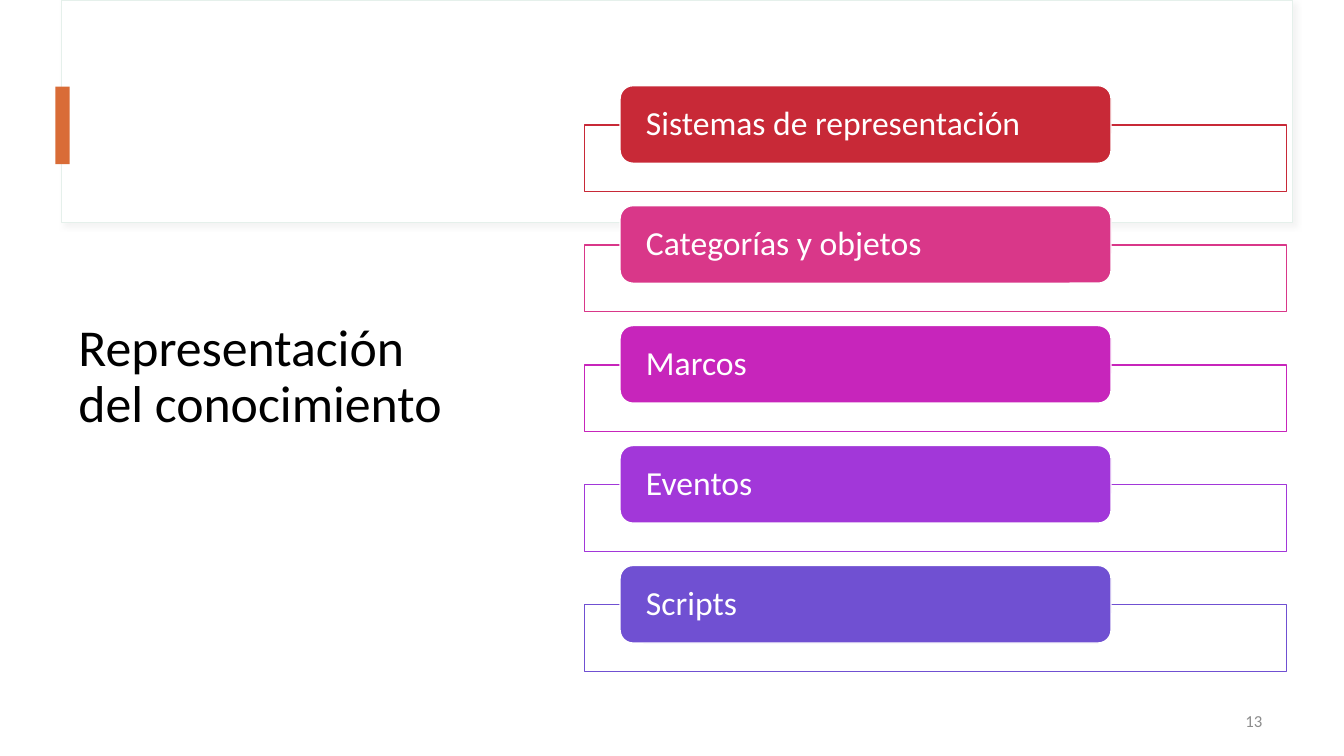
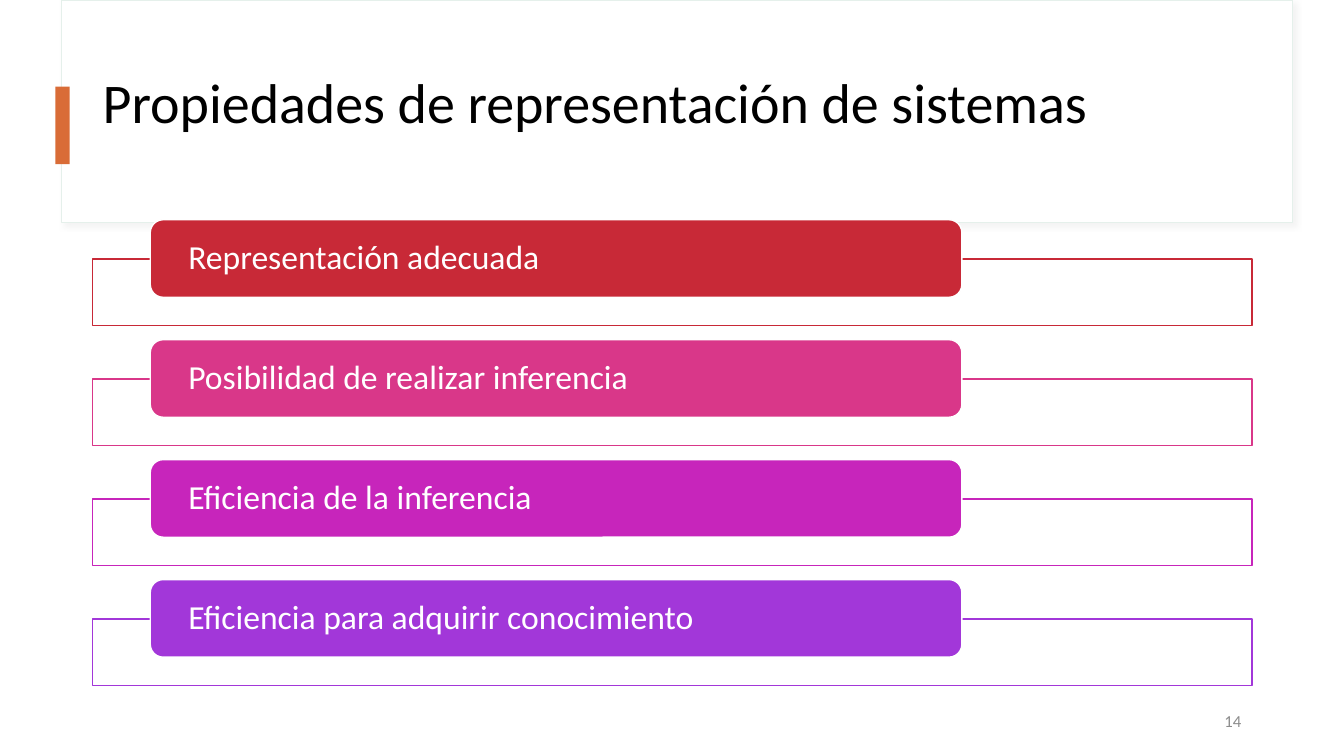
from lxml.etree import SubElement
from pptx import Presentation
from pptx.dml.color import RGBColor
from pptx.enum.shapes import MSO_SHAPE
from pptx.enum.text import MSO_ANCHOR, PP_ALIGN
from pptx.oxml.ns import qn
from pptx.util import Inches, Pt

THEME = {
    "font": "Calibri",
    "white": "FFFFFF",
    "title": "000000",
    "number": "8C8C8C",
    "accent": "D96C37",
    "band_line": "E5F0EB",
    "band_shadow": "D9D9D9",
    "topics": ["C82937", "D93789", "C725BB", "A237D9", "7050D2"],
    "topic_size": 24,
    "number_size": 12,
}
ROW_STEP = 1.19
FRAME_DROP = 0.39
FRAME_HEIGHT = 0.66
LABEL_HEIGHT = 0.77

SLIDES = [
    {
        "title": "Representación del conocimiento",
        "title_box": (0.68, 1.27, 3.94, 4.95),
        "title_size": 37,
        "title_anchor": MSO_ANCHOR.MIDDLE,
        "number": "13",
        "number_box": (9.62, 6.95, 3, 0.4),
        "top": 0.85,
        "frame": (5.8, 6.96),
        "label": (6.15, 4.87),
        "inset": 0.22,
        "topics": ["Sistemas de representación", "Categorías y objetos",
                   "Marcos", "Eventos", "Scripts"],
    },
    {
        "title": "Propiedades de representación de sistemas",
        "title_box": (0.92, 0.28, 11.49, 1.11),
        "title_size": 40,
        "title_anchor": MSO_ANCHOR.BOTTOM,
        "number": "14",
        "number_box": (9.7, 6.95, 2.71, 0.4),
        "top": 2.18,
        "frame": (0.92, 11.5),
        "label": (1.49, 8.05),
        "inset": 0.34,
        "topics": ["Representación adecuada", "Posibilidad de realizar inferencia",
                   "Eficiencia de la inferencia", "Eficiencia para adquirir conocimiento"],
    },
]


def add_box(slide, kind, box, fill, line=None, line_width=1):
    shape = slide.shapes.add_shape(kind, *map(Inches, box))
    shape.shadow.inherit = False
    shape.fill.solid()
    shape.fill.fore_color.rgb = RGBColor.from_string(fill)
    if line:
        shape.line.color.rgb = RGBColor.from_string(line)
        shape.line.width = Pt(line_width)
    else:
        shape.line.fill.background()
    return shape


def write_text(shape, text, size, color, anchor, align=PP_ALIGN.LEFT, spacing=0.9):
    frame = shape.text_frame
    frame.word_wrap = True
    frame.vertical_anchor = anchor
    paragraph = frame.paragraphs[0]
    paragraph.alignment = align
    paragraph.line_spacing = spacing
    run = paragraph.add_run()
    run.text = text
    run.font.name = THEME["font"]
    run.font.size = Pt(size)
    run.font.color.rgb = RGBColor.from_string(color)
    return frame


presentation = Presentation()
presentation.slide_width = Inches(13.33)
presentation.slide_height = Inches(7.5)

for content in SLIDES:
    slide = presentation.slides.add_slide(presentation.slide_layouts[6])

    band = add_box(slide, MSO_SHAPE.RECTANGLE, (0.61, 0, 12.21, 2.21),
                   THEME["white"], THEME["band_line"], 0.75)
    effects = band._element.spPr.find(qn("a:effectLst"))
    shadow = SubElement(effects, qn("a:outerShdw"), blurRad=str(Pt(4)),
                        dist=str(Pt(3)), dir=str(45 * 60000))
    shadow_color = SubElement(shadow, qn("a:srgbClr"), val=THEME["band_shadow"])
    SubElement(shadow_color, qn("a:alpha"), val="30000")
    add_box(slide, MSO_SHAPE.RECTANGLE, (0.55, 0.86, 0.14, 0.77), THEME["accent"])

    title = slide.shapes.add_textbox(*map(Inches, content["title_box"]))
    write_text(title, content["title"], content["title_size"], THEME["title"],
               content["title_anchor"])

    number = slide.shapes.add_textbox(*map(Inches, content["number_box"]))
    number_frame = write_text(number, content["number"], THEME["number_size"],
                              THEME["number"], MSO_ANCHOR.MIDDLE, PP_ALIGN.RIGHT, 1.0)
    number_frame.paragraphs[0].space_after = Pt(6)

    frame_left, frame_width = content["frame"]
    label_left, label_width = content["label"]
    for row, (topic, color) in enumerate(zip(content["topics"], THEME["topics"])):
        top = content["top"] + row * ROW_STEP
        outline = add_box(slide, MSO_SHAPE.RECTANGLE,
                          (frame_left, top + FRAME_DROP, frame_width, FRAME_HEIGHT),
                          THEME["white"], color)
        outline_color = outline._element.spPr.find(qn("a:solidFill")).find(qn("a:srgbClr"))
        SubElement(outline_color, qn("a:alpha"), val="90000")

        label = add_box(slide, MSO_SHAPE.ROUNDED_RECTANGLE,
                        (label_left, top, label_width, LABEL_HEIGHT), color, THEME["white"])
        label_frame = write_text(label, topic, THEME["topic_size"], THEME["white"],
                                 MSO_ANCHOR.MIDDLE)
        label_frame.margin_left = label_frame.margin_right = Inches(content["inset"])
        label_frame.margin_top = label_frame.margin_bottom = 0

presentation.save("out.pptx")
